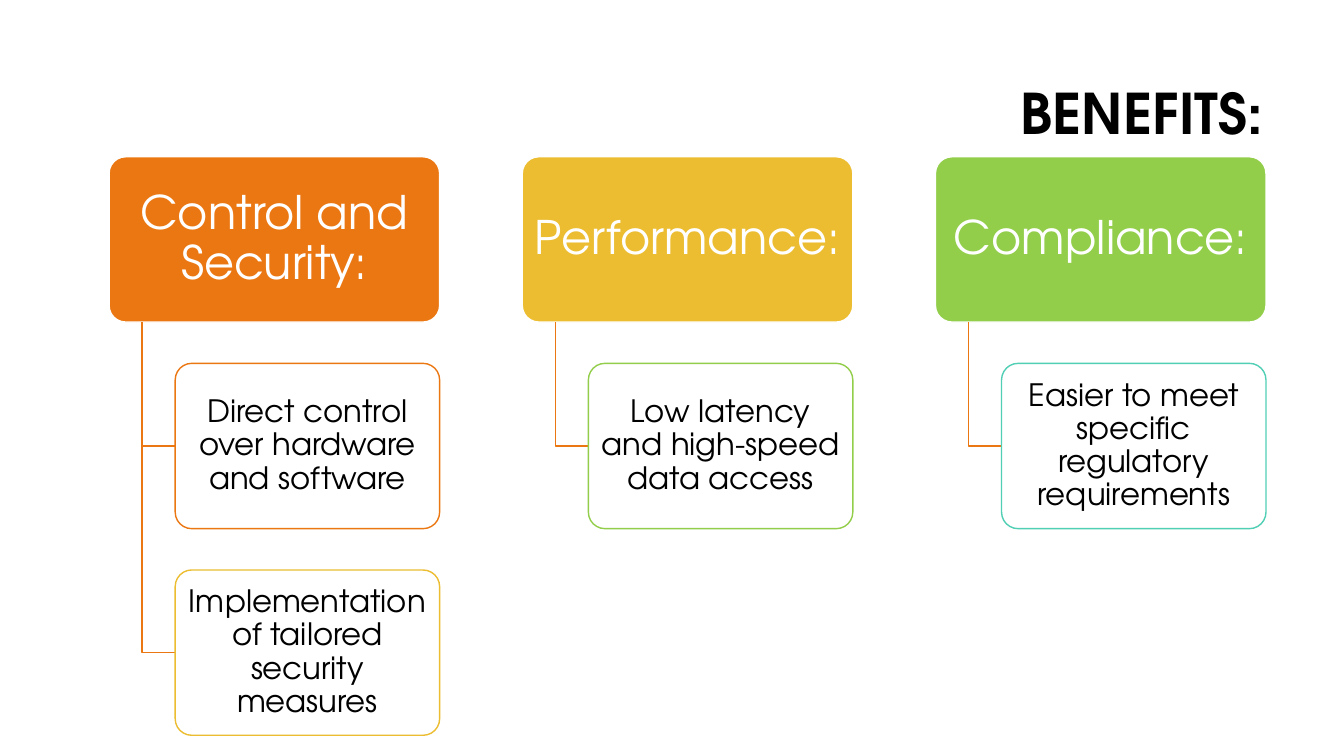
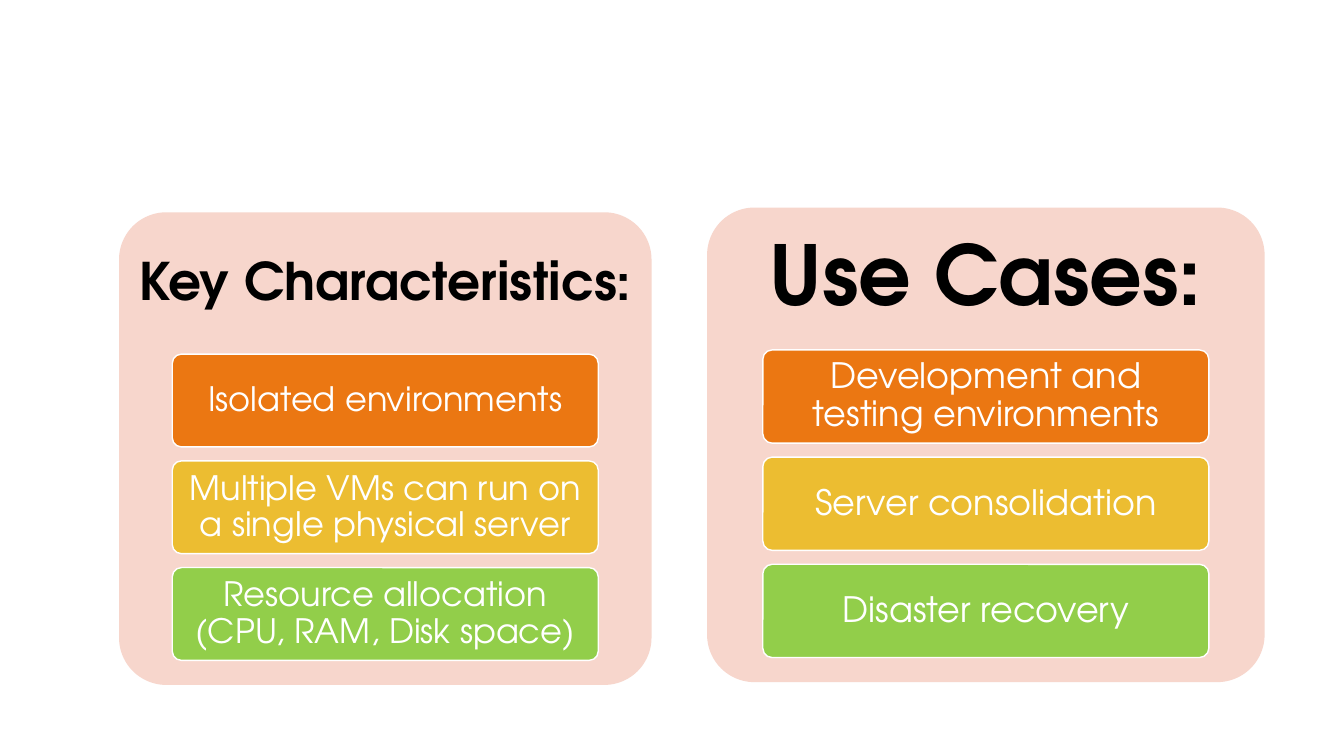
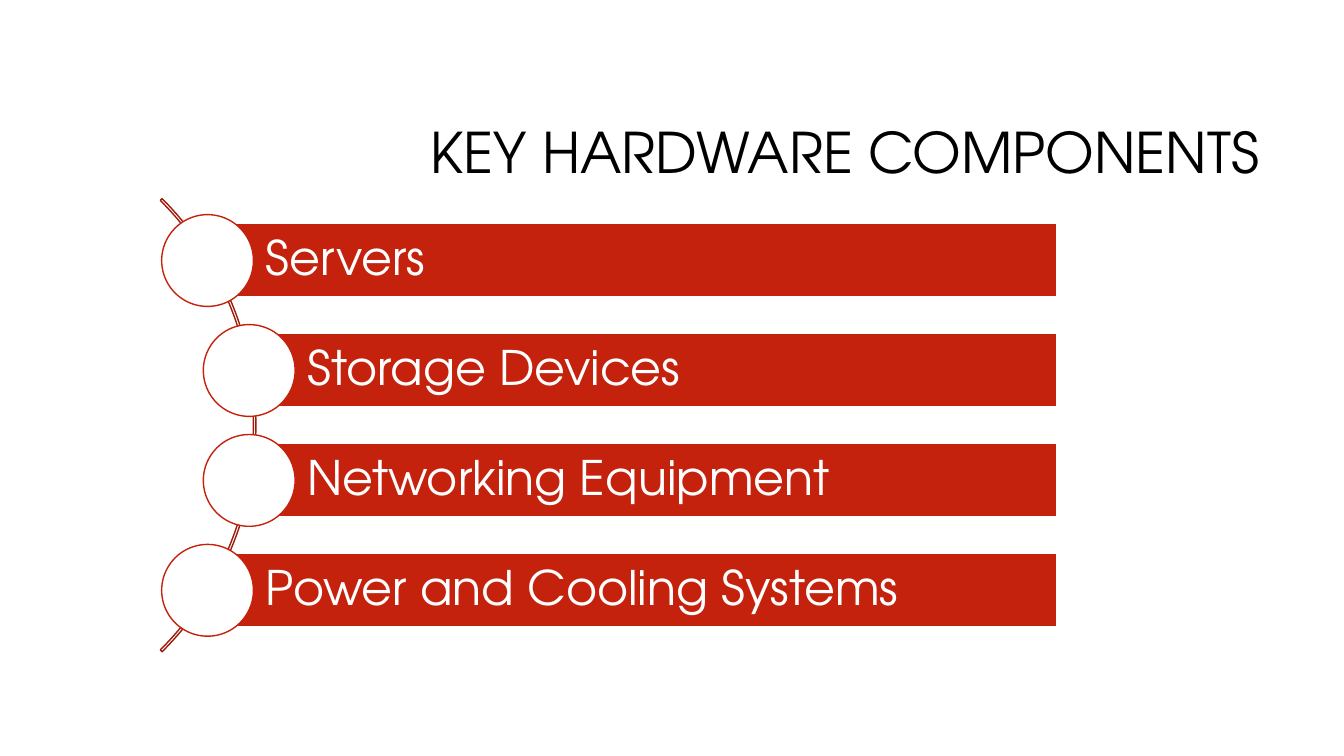
"""Build three slides on server benefits, virtual machines and hardware."""
from dataclasses import dataclass
from typing import Any

from pptx import Presentation
from pptx.dml.color import RGBColor
from pptx.enum.shapes import MSO_SHAPE
from pptx.enum.text import MSO_ANCHOR, MSO_AUTO_SIZE, PP_ALIGN
from pptx.shapes.autoshape import Shape
from pptx.slide import Slide
from pptx.util import Cm, Pt

ROUND, RECT = MSO_SHAPE.ROUNDED_RECTANGLE, MSO_SHAPE.RECTANGLE
OVAL, ARC = MSO_SHAPE.OVAL, MSO_SHAPE.BLOCK_ARC
LEFT, MID, RIGHT = PP_ALIGN.LEFT, PP_ALIGN.CENTER, PP_ALIGN.RIGHT
CENTRE, FIXED = MSO_ANCHOR.MIDDLE, MSO_AUTO_SIZE.NONE

BLACK = RGBColor(0x00, 0x00, 0x00)
WHITE = RGBColor(0xFF, 0xFF, 0xFF)
ORANGE = RGBColor(0xEB, 0x77, 0x12)
GOLD = RGBColor(0xEC, 0xBD, 0x31)
GREEN = RGBColor(0x92, 0xCE, 0x4A)
TEAL = RGBColor(0x50, 0xCF, 0xB4)
PINK = RGBColor(0xF7, 0xD6, 0xCC)
RED = RGBColor(0xC4, 0x22, 0x0D)
DARK = RGBColor(0x9D, 0x1B, 0x0A)

FACE = "TeX Gyre Adventor"
SIDES = ("margin_left", "margin_top", "margin_right", "margin_bottom")
SPOTS = ("left", "top", "width", "height")
WIDE = (0.18, 0.13, 0.18, 0.13)
SLIM = (0.13, 0.08, 0.13, 0.08)
TITLE_W, TITLE_H = 23.93, 3.58


@dataclass(frozen=True)
class Box:
    """A place on the slide, in centimetres."""
    left: float
    top: float
    width: float
    height: float


@dataclass(frozen=True)
class Style:
    """The look of a piece of text; pads in centimetres."""
    size: float
    color: RGBColor = WHITE
    bold: bool = False
    align: PP_ALIGN = MID
    pads: tuple[float, ...] = WIDE


@dataclass(frozen=True)
class Branch:
    """A heading card with the outlined notes below it."""
    head: str
    color: RGBColor
    notes: tuple[tuple[str, RGBColor], ...]


@dataclass(frozen=True)
class Panel:
    """A tinted panel with a heading and stacked cells."""
    box: Box
    head: str
    style: Style
    size: float
    cells: tuple[str, ...]


BRANCHES = (
    Branch("Control and Security:", ORANGE, (
        ("Direct control over hardware and software", ORANGE),
        ("Implementation of tailored security measures", GOLD))),
    Branch("Performance:", GOLD, (
        ("Low latency and high-speed data access", GREEN),)),
    Branch("Compliance:", GREEN, (
        ("Easier to meet specific regulatory requirements", TEAL),)),
)
PANELS = (
    Panel(Box(3, 5.35, 13.42, 11.91), "Key Characteristics:",
          Style(37, BLACK, True, pads=(0.38,) * 4), 24,
          ("Isolated environments",
           "Multiple VMs can run on a single physical server",
           "Resource allocation (CPU, RAM, Disk space)")),
    Panel(Box(17.82, 5.23, 14.05, 11.96), "Use Cases:",
          Style(59, BLACK, True, pads=(0.63,) * 4), 25,
          ("Development and testing environments",
           "Server consolidation",
           "Disaster recovery")),
)
PARTS = (("Servers", 5.23), ("Storage Devices", 6.28),
         ("Networking Equipment", 6.28), ("Power and Cooling Systems", 5.23))


def apply(target: Any, values: dict[str, Any]) -> None:
    """Set each named value on the target."""
    for name, value in values.items():
        setattr(target, name, value)


def span(box: Box) -> tuple[int, ...]:
    """Turn a box into slide lengths."""
    return tuple(Cm(getattr(box, name)) for name in SPOTS)


def write(shape: Any, text: str, style: Style) -> None:
    """Put styled text into a shape."""
    frame = shape.text_frame
    frame.text = text
    apply(frame, {"word_wrap": True, "auto_size": FIXED,
                  "vertical_anchor": CENTRE})
    apply(frame, {side: Cm(pad) for side, pad in zip(SIDES, style.pads)})
    line = frame.paragraphs[0]
    apply(line, {"alignment": style.align, "line_spacing": 0.9})
    font = line.runs[0].font
    apply(font, {"name": FACE, "size": Pt(style.size), "bold": style.bold})
    font.color.rgb = style.color


def paint(shape: Shape, fill: RGBColor | None, edge: RGBColor | None) -> None:
    """Set the fill and line of a shape and drop its shadow."""
    shape.shadow.inherit = False
    if fill is None:
        shape.fill.background()
    else:
        shape.fill.solid()
        shape.fill.fore_color.rgb = fill
    if edge is None:
        shape.line.fill.background()
    else:
        shape.line.color.rgb = edge
        shape.line.width = Pt(1)


def block(slide: Slide, kind: MSO_SHAPE, box: Box, fill: RGBColor | None,
          edge: RGBColor | None = None) -> Shape:
    """Draw a painted preset shape."""
    shape = slide.shapes.add_shape(kind, *span(box))
    if kind == ROUND:
        shape.adjustments[0] = 0.1
    paint(shape, fill, edge)
    return shape


def title(slide: Slide, text: str, left: float, top: float,
          bold: bool = False) -> None:
    """Place and fill the slide title."""
    holder = slide.shapes.title
    place = span(Box(left, top, TITLE_W, TITLE_H))
    apply(holder, dict(zip(SPOTS, place)))
    write(holder, text, Style(40, BLACK, bold, RIGHT, (0.25, 0.13) * 2))


def elbow(slide: Slide, left: float, top: float, right: float,
          base: float) -> None:
    """Draw a line that runs down and then right."""
    pen = slide.shapes.build_freeform(Cm(left), Cm(top))
    pen.add_line_segments([(Cm(left), Cm(base)), (Cm(right), Cm(base))],
                          close=False)
    paint(pen.convert_to_shape(), None, ORANGE)


def benefits(slide: Slide) -> None:
    """Draw the branches of benefits."""
    title(slide, "BENEFITS:", 8.15, 1.14, True)
    width, top = 8.33, 3.95
    height = width / 2
    pitch = height * 1.25
    for col, branch in enumerate(BRANCHES):
        left = 2.75 + col * width * 1.25
        card = block(slide, ROUND, Box(left, top, width, height),
                     branch.color, WHITE)
        write(card, branch.head, Style(33))
        inner = left + width / 5
        for row, (text, edge) in enumerate(branch.notes, 1):
            level = top + row * pitch
            elbow(slide, left + width / 10, top + height, inner,
                  level + height / 2)
            note = block(slide, ROUND, Box(inner, level, width * 0.8, height),
                         WHITE, edge)
            write(note, text, Style(22, BLACK, pads=SLIM))


def machines(slide: Slide) -> None:
    """Draw the panels on virtual machines."""
    for panel in PANELS:
        box = panel.box
        block(slide, ROUND, box, PINK)
        band = Box(box.left, box.top, box.width, box.height * 0.3)
        write(slide.shapes.add_textbox(*span(band)), panel.head, panel.style)
        height = box.height * 0.65 / 3.31
        for row, (text, fill) in enumerate(
                zip(panel.cells, (ORANGE, GOLD, GREEN))):
            level = box.top + band.height + row * height * 1.15
            place = Box(box.left + box.width / 10, level,
                        box.width * 0.8, height)
            write(block(slide, ROUND, place, fill, WHITE), text,
                  Style(panel.size))


def hardware(slide: Slide) -> None:
    """Draw the hardware bars along an arc."""
    title(slide, "KEY HARDWARE COMPONENTS", 8.05, 2.13)
    curve = block(slide, ARC, Box(-9.7, 2.64, 16.15, 16.15), None, DARK)
    for spot, value in enumerate((-45, 45, 0.004)):
        curve.adjustments[spot] = value if spot == 2 else value % 360 * 0.6
    height, right = 1.85, 26.63
    disc = height * 1.25
    for row, (text, left) in enumerate(PARTS):
        top = 5.64 + row * 2.77
        bar = block(slide, RECT, Box(left, top, right - left, height),
                    RED, WHITE)
        write(bar, text, Style(34, align=LEFT, pads=(1.47, 0.23, 0.23, 0.23)))
        block(slide, OVAL, Box(left - disc / 2, top + (height - disc) / 2,
                               disc, disc), WHITE, RED)


def main() -> None:
    """Build and save the deck."""
    deck = Presentation()
    apply(deck, {"slide_width": Cm(33.87), "slide_height": Cm(19.05)})
    for draw, layout in ((benefits, 5), (machines, 6), (hardware, 5)):
        draw(deck.slides.add_slide(deck.slide_layouts[layout]))
    deck.save("out.pptx")


if __name__ == "__main__":
    main()
